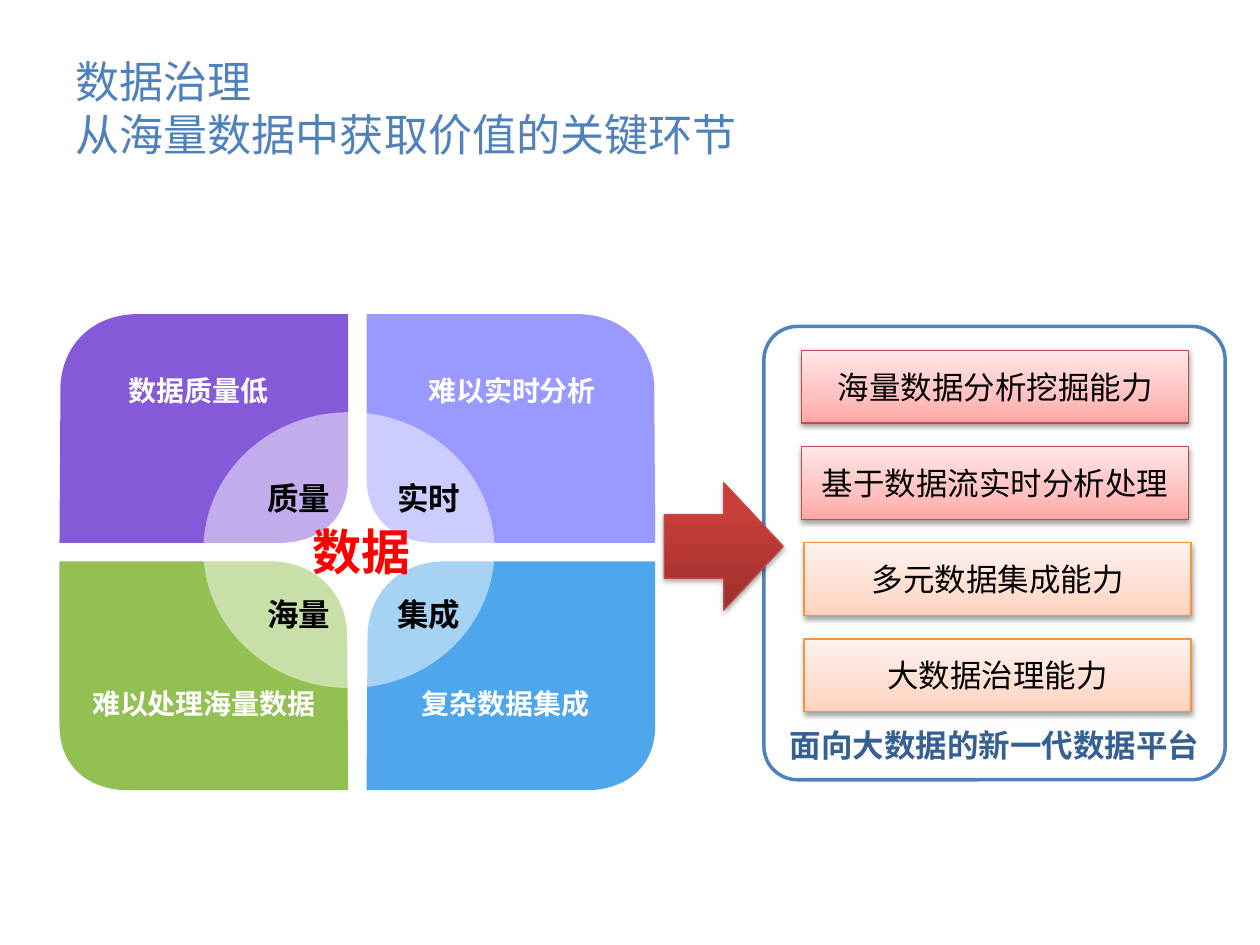
import dataclasses

import lxml.etree
import pptx
import pptx.dml.color
import pptx.enum.shapes
import pptx.enum.text
import pptx.oxml.ns
import pptx.util

Cm = pptx.util.Cm
Pt = pptx.util.Pt
Align = pptx.enum.text.PP_ALIGN
Anchor = pptx.enum.text.MSO_ANCHOR
Shape = pptx.enum.shapes.MSO_SHAPE
qn = pptx.oxml.ns.qn


@dataclasses.dataclass(frozen=True)
class Theme:
    """Colours, type sizes and gradients of the slide."""
    font: str = "Noto Sans CJK SC"
    accent: str = "4F81BD"
    caption: str = "376092"
    white: str = "FFFFFF"
    black: str = "000000"
    core: str = "FF0000"
    quadrants: tuple = ("855ADA", "9999FF", "93C052", "4EA7EA")
    red_line: str = "BF4C48"
    orange_line: str = "F69240"
    red: tuple = ((0, "FFA6A5"), (35, "FFC0BF"), (100, "FFE7E7"))
    orange: tuple = ((0, "FFD2BD"), (35, "FFDED0"), (100, "FFF2ED"))
    arrow: tuple = ((0, "9C2F2D"), (80, "CB3E3A"), (100, "CE3B37"))
    title_size: float = 25.2
    issue_size: float = 16
    body_size: float = 18
    core_size: float = 28


THEME = Theme()


def rgb(code):
    """Return the colour for a hex code."""
    return pptx.dml.color.RGBColor.from_string(code)


def lengths(*values):
    """Turn centimetre values into lengths."""
    return [Cm(value) for value in values]


def write(shape, lines, size, color, bold=False, align=Align.CENTER,
          anchor=Anchor.MIDDLE, wrap=True):
    """Write lines of text into one paragraph of a shape."""
    frame = shape.text_frame
    frame.word_wrap = wrap
    frame.vertical_anchor = anchor
    para = frame.paragraphs[0]
    para.alignment = align
    for number, line in enumerate(lines):
        if number:
            para.add_line_break()
        span = para.add_run()
        span.text = line
        span.font.size = Pt(size)
        span.font.bold = bold
        span.font.color.rgb = rgb(color)
        span.font.name = THEME.font
        lxml.etree.SubElement(span.font._element, qn("a:ea"), typeface=THEME.font)


def add_text(shapes, box, lines, size, color, **style):
    """Add a text box."""
    write(shapes.add_textbox(*lengths(*box)), lines, size, color, **style)


def flatten(shape, fill):
    """Give a shape a plain fill without outline or shadow."""
    shape.shadow.inherit = False
    shape.fill.solid()
    shape.fill.fore_color.rgb = rgb(fill)
    shape.line.fill.background()
    return shape


def add_plain(shapes, kind, box, fill):
    """Add a flat preset shape."""
    return flatten(shapes.add_shape(kind, *lengths(*box)), fill)


def add_raised(shapes, kind, box, stops, line, shade):
    """Add a shape with a vertical gradient, an outline and a soft shadow."""
    shape = add_plain(shapes, kind, box, THEME.white)
    shape.fill.gradient()
    shape.fill.gradient_angle = 90
    stop_list = shape._element.spPr.find(".//" + qn("a:gsLst"))
    for stop in list(stop_list):
        stop_list.remove(stop)
    for position, color in stops:
        stop = lxml.etree.SubElement(stop_list, qn("a:gs"), pos=str(position * 1000))
        lxml.etree.SubElement(stop, qn("a:srgbClr"), val=color)
    shape.line.color.rgb = rgb(line)
    shape.line.width = Pt(0.75)
    effects = shape._element.spPr.find(qn("a:effectLst"))
    shadow = lxml.etree.SubElement(
        effects, qn("a:outerShdw"), blurRad=str(Pt(3.1)), dist=str(Pt(1.6)),
        dir="5400000", rotWithShape="0")
    tone = lxml.etree.SubElement(shadow, qn("a:srgbClr"), val=THEME.black)
    lxml.etree.SubElement(tone, qn("a:alpha"), val=str(shade * 1000))
    return shape


def add_quadrant(shapes, box, color, mirrored):
    """Add a tile with two opposite corners rounded by cubic curves."""
    left, top, width, height = box
    corners = [(0, height), (0.02, 1.45), (1.6, 0), (width, 0), (width, 3.3), (4.47, height)]
    bends = {1: ((0.05, 0.69), (0.6, 0)), 4: ((width, 4.19), (5.18, 4.6))}

    def place(x, y):
        return Cm(width - x if mirrored else x), Cm(y)

    points = [(Cm(left) + x, Cm(top) + y) for x, y in (place(*corner) for corner in corners)]
    builder = shapes.build_freeform(*points[0])
    builder.add_line_segments(points[1:], close=True)
    tile = flatten(builder.convert_to_shape(), color)
    segments = tile._element.spPr.findall(".//" + qn("a:lnTo"))
    for index, controls in bends.items():
        segment = segments[index]
        bend = lxml.etree.Element(qn("a:cubicBezTo"))
        for x, y in (place(*control) for control in controls):
            lxml.etree.SubElement(bend, qn("a:pt"), x=str(x), y=str(y))
        segment.getparent().replace(segment, bend)
        bend.append(segment[0])


def add_title(page, box):
    """Add the two-line title."""
    add_text(page.shapes, box, ("数据治理", "从海量数据中获取价值的关键环节"),
             THEME.title_size, THEME.accent, align=Align.LEFT)


def add_challenges(page, box):
    """Add the four tiles, the centre disc and their labels."""
    left, top, width, height = box
    shapes = page.shapes.add_group_shape().shapes
    gap = 0.37
    tile_width, tile_height = (width - gap) / 2, (height - gap) / 2
    for index, color in enumerate(THEME.quadrants):
        row, column = divmod(index, 2)
        tile = (left + column * (tile_width + gap), top + row * (tile_height + gap),
                tile_width, tile_height)
        add_quadrant(shapes, tile, color, row != column)
    disc = add_plain(shapes, Shape.OVAL, (left + 2.9, top + 1.98, 5.87, 5.56), THEME.white)
    tone = disc._element.spPr.find(".//" + qn("a:srgbClr"))
    lxml.etree.SubElement(tone, qn("a:alpha"), val="50000")
    issues = (("数据质量低", 0.58, 4.45), ("难以实时分析", 6.9, 4.45),
              ("难以处理海量数据", 0.22, 5.38), ("复杂数据集成", 6.62, 4.75))
    for index, (issue, x, label_width) in enumerate(issues):
        y = 1.07 + index // 2 * 6.3
        add_text(shapes, (left + x, top + y, label_width, 0.94), [issue],
                 THEME.issue_size, THEME.white, bold=True)
    for index, keyword in enumerate(("质量", "实时", "海量", "集成")):
        row, column = divmod(index, 2)
        add_text(shapes, (left + 3.91 + column * 2.62, top + 3.2 + row * 2.33, 1.83, 1.02),
                 [keyword], THEME.body_size, THEME.black, bold=True, wrap=False)


def add_platform(page, box):
    """Add the platform panel with its stack of capabilities."""
    left, top, width, height = box
    panel = add_plain(page.shapes, Shape.ROUNDED_RECTANGLE, box, THEME.white)
    panel.adjustments[0] = 0.074
    panel.line.color.rgb = rgb(THEME.accent)
    panel.line.width = Pt(2)
    write(panel, ["面向大数据的新一代数据平台"], THEME.body_size, THEME.caption,
          bold=True, anchor=Anchor.BOTTOM)
    red = (0.76, THEME.red, THEME.red_line)
    orange = (0.81, THEME.orange, THEME.orange_line)
    capabilities = (("海量数据分析挖掘能力", red), ("基于数据流实时分析处理", red),
                    ("多元数据集成能力", orange), ("大数据治理能力", orange))
    for index, (capability, (x, stops, line)) in enumerate(capabilities):
        bar = add_raised(page.shapes, Shape.RECTANGLE,
                         (left + x, top + 0.48 + index * 1.94, 7.8, 1.47), stops, line, 38)
        write(bar, [capability], THEME.body_size, THEME.black)


def main():
    """Build the slide and save it."""
    deck = pptx.Presentation()
    deck.slide_width, deck.slide_height = lengths(25.4, 19.05)
    page = deck.slides.add_slide(deck.slide_layouts[6])
    add_title(page, (1.27, 1.19, 15.44, 1.96))
    add_challenges(page, (1.2, 6.33, 12.01, 9.6))
    add_platform(page, (15.4, 6.58, 9.3, 9.14))
    add_raised(page.shapes, Shape.RIGHT_ARROW, (13.39, 9.73, 2.4, 2.57),
               THEME.arrow, THEME.red_line, 35)
    add_text(page.shapes, (6.01, 10.39, 2.54, 1.45), ["数据"],
             THEME.core_size, THEME.core, bold=True, wrap=False)
    deck.save("out.pptx")


if __name__ == "__main__":
    main()
